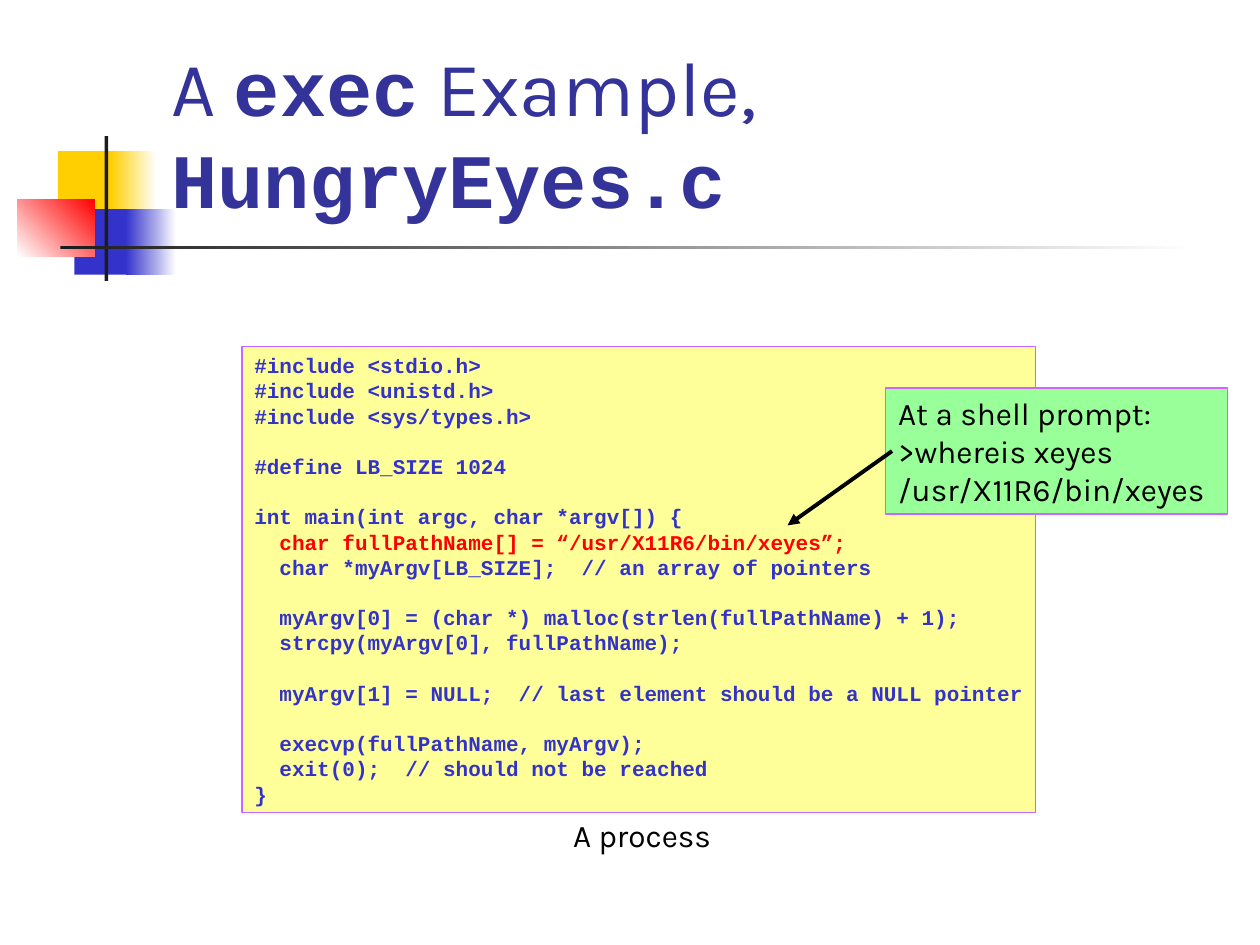
"""Build the slide that walks through an exec example program."""
import pptx
import pptx.dml.color
import pptx.enum.shapes
import pptx.enum.text
import pptx.oxml.ns
import pptx.util
from lxml import etree

COLUMNS, ROWS = 100, 75
SLIDE_WIDTH, SLIDE_HEIGHT = pptx.util.Inches(10), pptx.util.Inches(7.5)
SANS, MONO = "Karla", "Courier New"
COLORS = {
    "white": "FFFFFF", "black": "000000", "charcoal": "1C1C1C",
    "gold": "FFCF01", "blue": "3333CC", "red": "FF0000", "title": "333399",
    "code_box": "FFFF99", "callout": "99FF99", "border": "CC66FF",
}
ORNAMENTS = [
    ((4.6, 12, 4.8, 5.2), ["gold"], 0),
    ((8.8, 12, 3.6, 5.2), ["gold", "white"], 0),
    ((5.9, 16.6, 4.6, 5.2), ["blue"], 0),
    ((10, 16.6, 4, 5.2), ["blue", "white"], 0),
    ((1.4, 15.8, 6.1, 4.6), ["white", "red"], 45),
    ((8.3, 10.8, 0.3, 11.5), ["charcoal"], 0),
    ((4.8, 19.5, 90, 0.3), ["charcoal", "white"], 0),
]
CODE = """#include <stdio.h>
#include <unistd.h>
#include <sys/types.h>

#define LB_SIZE 1024

int main(int argc, char *argv[]) {
  char fullPathName[] = “/usr/X11R6/bin/xeyes”;
  char *myArgv[LB_SIZE];  // an array of pointers

  myArgv[0] = (char *) malloc(strlen(fullPathName) + 1);
  strcpy(myArgv[0], fullPathName);

  myArgv[1] = NULL;  // last element should be a NULL pointer

  execvp(fullPathName, myArgv);
  exit(0);  // should not be reached
}"""
HIGHLIGHT = "char fullPathName"
CODE_SIZE, CODE_LEADING = 12, 14.4


def rgb(name):
    """Return the named colour."""
    return pptx.dml.color.RGBColor.from_string(COLORS[name])


def across(columns):
    """Return the length of a number of grid columns."""
    return round(SLIDE_WIDTH * columns / COLUMNS)


def down(rows):
    """Return the length of a number of grid rows."""
    return round(SLIDE_HEIGHT * rows / ROWS)


def place(cell):
    """Turn left, top, width and height in grid units into lengths."""
    left, top, width, height = cell
    return across(left), down(top), across(width), down(height)


def write(paragraph, text, font=SANS, size=18, color="black", bold=False):
    """Add formatted text to a paragraph."""
    run = paragraph.add_run()
    run.text = text
    run.font.name = font
    run.font.size = pptx.util.Pt(size)
    run.font.bold = bold
    run.font.color.rgb = rgb(color)


def next_paragraph(frame):
    """Return the unused first paragraph, or a new one, aligned left."""
    first = frame.paragraphs[0]
    paragraph = frame.add_paragraph() if first.runs else first
    paragraph.alignment = pptx.enum.text.PP_ALIGN.LEFT
    return paragraph


def add_panel(slide, cell, fills, angle=0, border=None):
    """Add a rectangle with a plain or two-colour gradient fill."""
    panel = slide.shapes.add_shape(
        pptx.enum.shapes.MSO_SHAPE.RECTANGLE, *place(cell))
    panel.shadow.inherit = False
    if len(fills) == 1:
        panel.fill.solid()
        panel.fill.fore_color.rgb = rgb(fills[0])
    else:
        panel.fill.gradient()
        panel.fill.gradient_angle = angle
        for stop, name in zip(panel.fill.gradient_stops, fills):
            stop.color.rgb = rgb(name)
    if border:
        panel.line.color.rgb = rgb(border)
        panel.line.width = pptx.util.Pt(0.75)
    else:
        panel.line.fill.background()
    panel.text_frame.word_wrap = False
    panel.text_frame.vertical_anchor = pptx.enum.text.MSO_ANCHOR.TOP
    return panel


def add_title(slide):
    """Fill the title placeholder and lay it over the ornaments."""
    title = slide.shapes.title
    title.left, title.top, title.width, title.height = place(
        (12.6, 2.3, 85.2, 16))
    slide.shapes.element.append(title.element)
    frame = title.text_frame
    frame.word_wrap = True
    frame.auto_size = pptx.enum.text.MSO_AUTO_SIZE.NONE
    frame.vertical_anchor = pptx.enum.text.MSO_ANCHOR.BOTTOM
    heading = next_paragraph(frame)
    for text, is_code in (("A ", False), ("exec", True),
                          (" Example, ", False), ("HungryEyes.c", True)):
        write(heading, text, font=MONO if is_code else SANS, size=44,
              color="title", bold=is_code)


def add_code(slide):
    """Add the program listing, spacing its sections one line apart."""
    listing = add_panel(slide, (19.2, 27.5, 63, 37), ["code_box"],
                        border="border")
    for number, section in enumerate(CODE.split("\n\n")):
        for row, line in enumerate(section.split("\n")):
            paragraph = next_paragraph(listing.text_frame)
            paragraph.line_spacing = pptx.util.Pt(CODE_LEADING)
            if number and not row:
                paragraph.space_before = pptx.util.Pt(CODE_LEADING)
            color = "red" if HIGHLIGHT in line[:20] else "blue"
            write(paragraph, line, font=MONO, size=CODE_SIZE, color=color,
                  bold=True)


def add_caption(slide):
    """Add the caption under the listing."""
    caption = slide.shapes.add_textbox(*place((44.5, 64.3, 13.3, 4)))
    caption.text_frame.word_wrap = False
    write(next_paragraph(caption.text_frame), "A process")


def add_callout(slide):
    """Add the shell prompt note."""
    callout = add_panel(slide, (70.3, 30.8, 27.1, 10), ["callout"],
                        border="border")
    for line in ("At a shell prompt:", ">whereis xeyes",
                 "/usr/X11R6/bin/xeyes"):
        write(next_paragraph(callout.text_frame), line)


def add_arrow(slide, start, end):
    """Add a black arrow between two grid points."""
    arrow = slide.shapes.add_connector(
        pptx.enum.shapes.MSO_CONNECTOR.STRAIGHT,
        across(start[0]), down(start[1]), across(end[0]), down(end[1]))
    arrow.line.color.rgb = rgb("black")
    arrow.line.width = pptx.util.Pt(2.25)
    qn = pptx.oxml.ns.qn
    properties = arrow.element.spPr
    etree.SubElement(properties.find(qn("a:ln")), qn("a:tailEnd"),
                     type="triangle")
    etree.SubElement(properties, qn("a:effectLst"))


def main():
    """Build and save the slide."""
    deck = pptx.Presentation()
    deck.slide_width, deck.slide_height = SLIDE_WIDTH, SLIDE_HEIGHT
    slide = deck.slides.add_slide(deck.slide_layouts.get_by_name("Title Only"))
    for cell, fills, angle in ORNAMENTS:
        add_panel(slide, cell, fills, angle)
    add_title(slide)
    add_code(slide)
    add_caption(slide)
    add_callout(slide)
    add_arrow(slide, (70.8, 35.8), (62.5, 41.7))
    deck.save("out.pptx")


if __name__ == "__main__":
    main()
